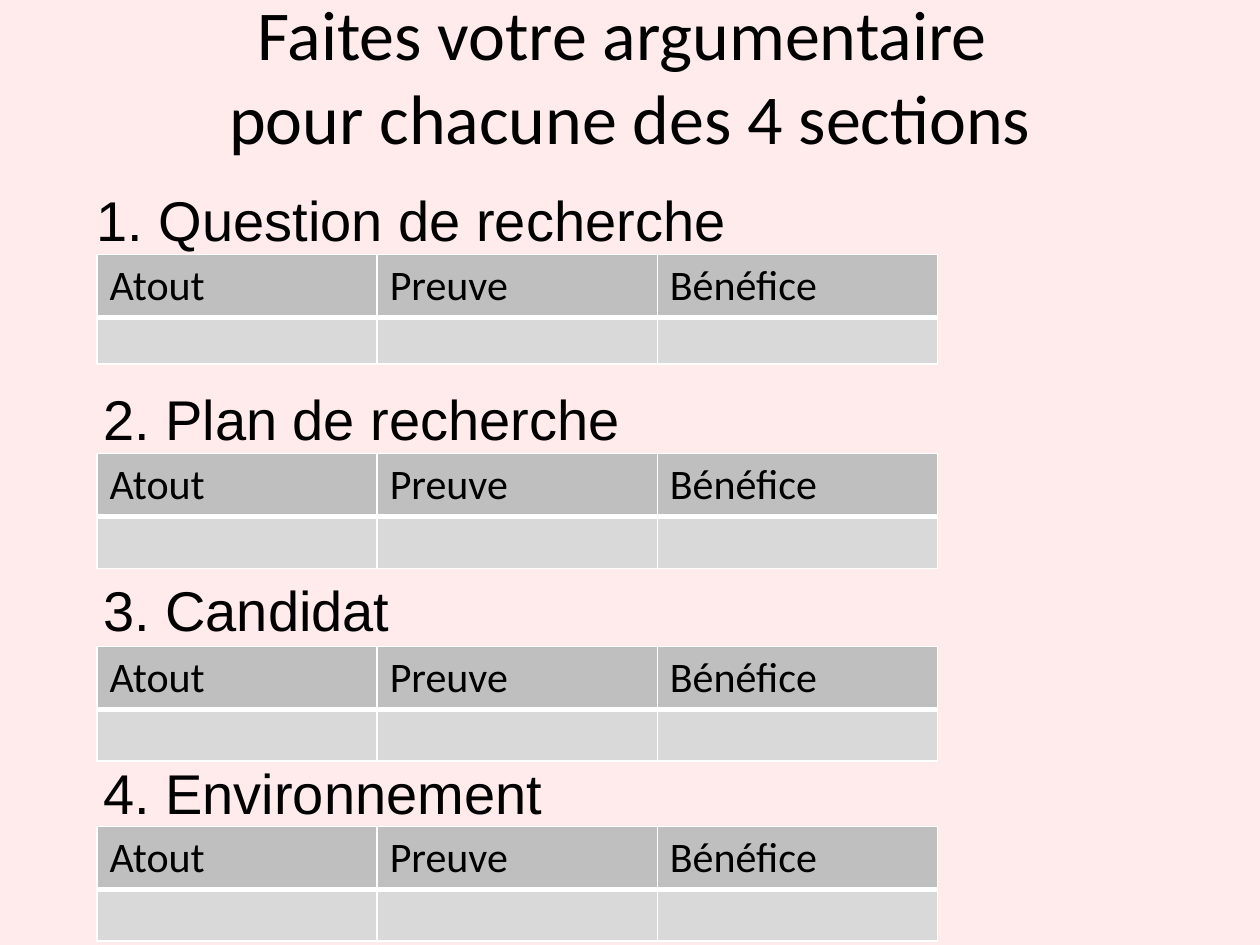
from lxml import etree
from pptx import Presentation
from pptx.dml.color import RGBColor
from pptx.enum.text import MSO_ANCHOR, MSO_AUTO_SIZE, PP_ALIGN
from pptx.oxml.ns import qn
from pptx.util import Inches, Pt

COLORS = {
    "background": "FFEBEB",
    "text": "000000",
    "header": "BFBFBF",
    "body": "D9D9D9",
    "border": "FFFFFF",
}
TITLE_LINES = ["Faites votre argumentaire ", "pour chacune des 4 sections"]
COLUMNS = ["Atout", "Preuve", "Bénéfice"]
# heading, its left, top and width, then the table's top and answer row height
SECTIONS = [
    ("1. Question de recherche", 0.67, 1.42, 5.23, 2.02, 0.37),
    ("2. Plan de recherche", 0.72, 3.0, 4.34, 3.6, 0.41),
    ("3. Candidat", 0.72, 4.52, 2.49, 5.13, 0.41),
    ("4. Environnement", 0.72, 5.97, 3.71, 6.56, 0.41),
]
TABLE_LEFT, TABLE_WIDTH, HEADER_HEIGHT = 0.77, 6.67, 0.5


def color(name):
    return RGBColor.from_string(COLORS[name])


def style_text(paragraph, font_name, size):
    paragraph.font.name = font_name
    paragraph.font.size = Pt(size)
    paragraph.font.color.rgb = color("text")


def set_borders(cell, **widths):
    """Draw the cell's four borders, 1 pt wide unless a side says otherwise."""
    properties = cell._tc.get_or_add_tcPr()
    for side in "LRTB":
        line = etree.SubElement(properties, qn(f"a:ln{side}"),
                                w=str(Pt(widths.get(side, 1))))
        fill = etree.SubElement(line, qn("a:solidFill"))
        etree.SubElement(fill, qn("a:srgbClr"), val=COLORS["border"])


def fill_cell(cell, name):
    cell.fill.solid()
    cell.fill.fore_color.rgb = color(name)


def add_title(slide):
    title = slide.shapes.title
    title.left, title.top = Inches(0.5), Inches(0.02)
    title.width, title.height = Inches(9), Inches(1.15)
    frame = title.text_frame
    frame.text = "\n".join(TITLE_LINES)
    frame.auto_size = MSO_AUTO_SIZE.NONE
    frame.vertical_anchor = MSO_ANCHOR.MIDDLE
    for line in frame.paragraphs:
        line.alignment = PP_ALIGN.CENTER
        style_text(line, "Calibri", 40)


def add_heading(slide, text, left, top, width):
    heading = slide.shapes.add_textbox(Inches(left), Inches(top),
                                       Inches(width), Inches(0.64))
    frame = heading.text_frame
    frame.word_wrap = False
    frame.auto_size = MSO_AUTO_SIZE.SHAPE_TO_FIT_TEXT
    frame.text = text
    style_text(frame.paragraphs[0], "Arial", 32)


def add_argument_table(slide, top, answer_height):
    table = slide.shapes.add_table(
        2, len(COLUMNS), Inches(TABLE_LEFT), Inches(top), Inches(TABLE_WIDTH),
        Inches(HEADER_HEIGHT + answer_height)).table
    table.rows[0].height = Inches(HEADER_HEIGHT)
    table.rows[1].height = Inches(answer_height)
    for index, label in enumerate(COLUMNS):
        header, answer = table.cell(0, index), table.cell(1, index)
        set_borders(header, B=3)
        fill_cell(header, "header")
        header.text = label
        style_text(header.text_frame.paragraphs[0], "Calibri", 24)
        set_borders(answer, T=3)
        fill_cell(answer, "body")
        style_text(answer.text_frame.paragraphs[0], "Calibri", 14)


def main():
    deck = Presentation()
    deck.slide_width, deck.slide_height = Inches(10), Inches(7.5)
    slide = deck.slides.add_slide(deck.slide_layouts[5])
    slide.background.fill.solid()
    slide.background.fill.fore_color.rgb = color("background")
    add_title(slide)
    for text, left, top, width, table_top, answer_height in SECTIONS:
        add_heading(slide, text, left, top, width)
        add_argument_table(slide, table_top, answer_height)
    deck.save("out.pptx")


if __name__ == "__main__":
    main()
